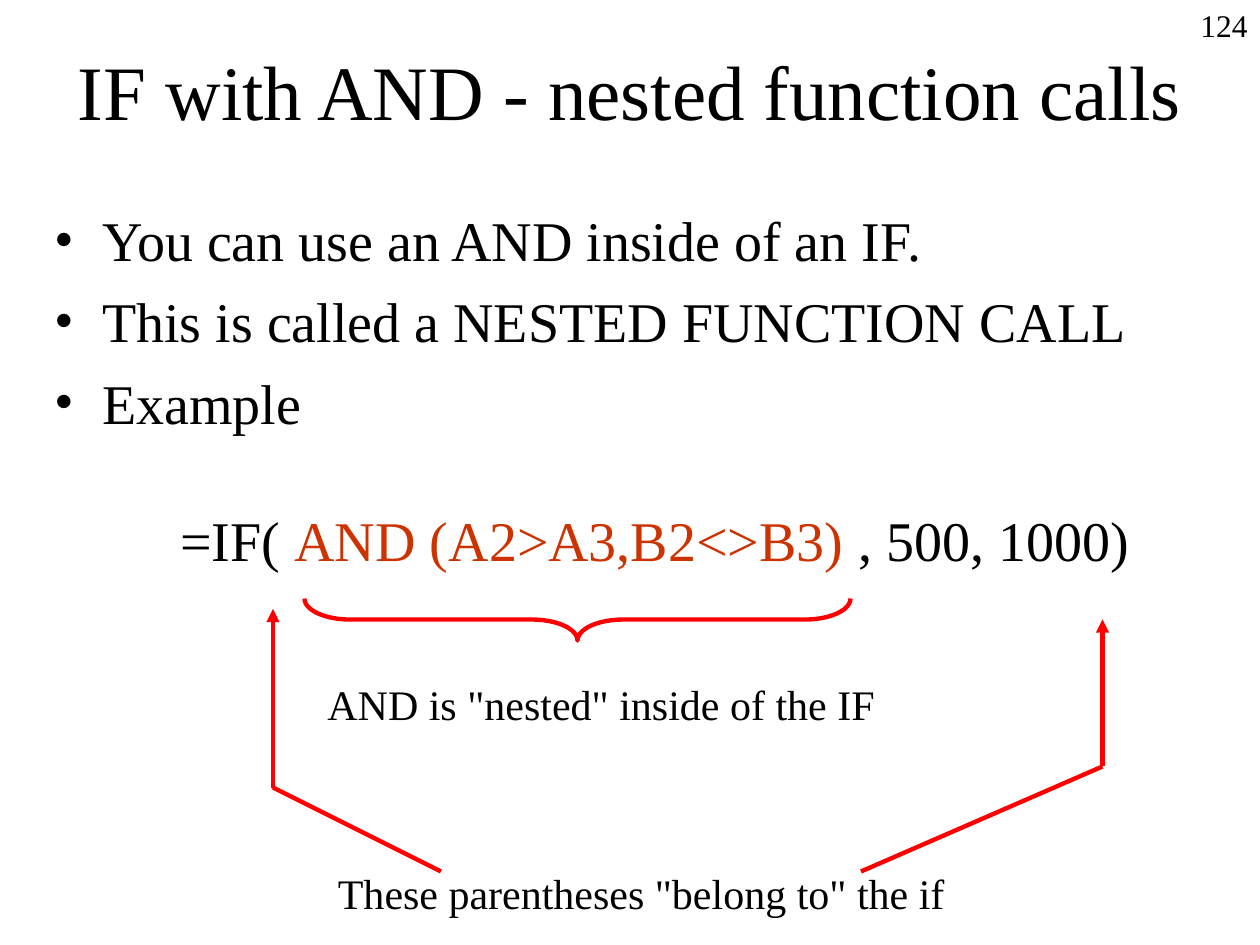
from pptx import Presentation
from pptx.dml.color import RGBColor as Rgb
from pptx.enum.shapes import MSO_CONNECTOR as Conn, MSO_SHAPE as Geo
from pptx.enum.text import MSO_ANCHOR as Anchor, PP_ALIGN as Align
from pptx.oxml.ns import qn
from pptx.util import Inches, Pt
from lxml.etree import SubElement as Sub

HEX = {"text": "000000", "inner": "CC3300", "mark": "FF0000"}
FONT = "Times New Roman"

deck = Presentation()
deck.slide_width, deck.slide_height = Inches(10), Inches(7.5)
slide = deck.slides.add_slide(deck.slide_layouts[6])
shapes = slide.shapes
# The slide is a grid of 120 columns by 90 rows
cell = deck.slide_width // 120


def add_box(left, top, width, height, anchor=Anchor.TOP):
    box = shapes.add_textbox(*(n * cell for n in (left, top, width, height)))
    frame = box.text_frame
    frame.word_wrap = True
    frame.vertical_anchor = anchor
    return frame


def add_text(para, text, size, color="text"):
    run = para.add_run()
    run.text = text
    look = {"name": FONT, "size": Pt(size)}
    for key, val in look.items():
        setattr(run.font, key, val)
    run.font.color.rgb = Rgb.from_string(HEX[color])


# Page number, title and the two captions
labels = [
    ("124", (102, 0, 18, 5), 18, Align.RIGHT, Anchor.TOP),
    ("IF with AND - nested function calls", (0, 1, 120, 15), 44,
     Align.CENTER, Anchor.MIDDLE),
    ('AND is "nested" inside of the IF', (30, 64, 85, 6), 24,
     Align.LEFT, Anchor.TOP),
    ('These parentheses "belong to" the if', (31, 82, 65, 6), 24,
     Align.LEFT, Anchor.TOP),
]
for text, area, size, align, anchor in labels:
    para = add_box(*area, anchor).paragraphs[0]
    para.alignment = align
    add_text(para, text, size)

# Bullets, then the formula
body = add_box(4, 19, 116, 71)
bullets = [
    "You can use an AND inside of an IF.",
    "This is called a NESTED FUNCTION CALL",
    "Example",
]
for i, text in enumerate(bullets):
    para = body.paragraphs[0] if i == 0 else body.add_paragraph()
    para.space_before = Pt(8)
    add_text(para, text, 32)
    props = para._p.get_or_add_pPr()
    props.set("marL", str(Inches(0.38)))
    props.set("indent", str(-Inches(0.38)))
    Sub(props, qn("a:buFont")).set("typeface", FONT)
    Sub(props, qn("a:buChar")).set("char", "•")

para = body.add_paragraph()
para.space_before = Pt(40)
para._p.get_or_add_pPr().set("marL", str(Inches(1)))
formula = [
    ("=IF( ", "text"),
    ("AND (A2>A3,B2<>B3) ", "inner"),
    (", 500, 1000)", "text"),
]
for text, color in formula:
    add_text(para, text, 32, color)

# Brace under the inner call, turned to lie flat
brace = shapes.add_shape(Geo.LEFT_BRACE, 53 * cell, 33 * cell,
                         4 * cell, 52 * cell)
brace.rotation = 270
brace.adjustments[0] = 1.08
brace.adjustments[1] = 0.5
brace.shadow.inherit = False
brace.fill.background()
marks = [brace]

# Pointers from the lower caption up to the outer parentheses
pointers = [
    ((26, 58), (26, 75), (42, 83)),
    ((105, 59), (105, 73), (82, 83)),
]
for tip, bend, tail in pointers:
    for start, end in ((tip, bend), (bend, tail)):
        line = shapes.add_connector(
            Conn.STRAIGHT, *(n * cell for n in start + end))
        props = line._element.spPr
        if start == tip:
            Sub(line.line._get_or_add_ln(), qn("a:headEnd")).set(
                "type", "triangle")
        Sub(props, qn("a:effectLst"))
        marks.append(line)

for mark in marks:
    mark.line.color.rgb = Rgb.from_string(HEX["mark"])
    mark.line.width = Pt(2.5)

deck.save("out.pptx")
